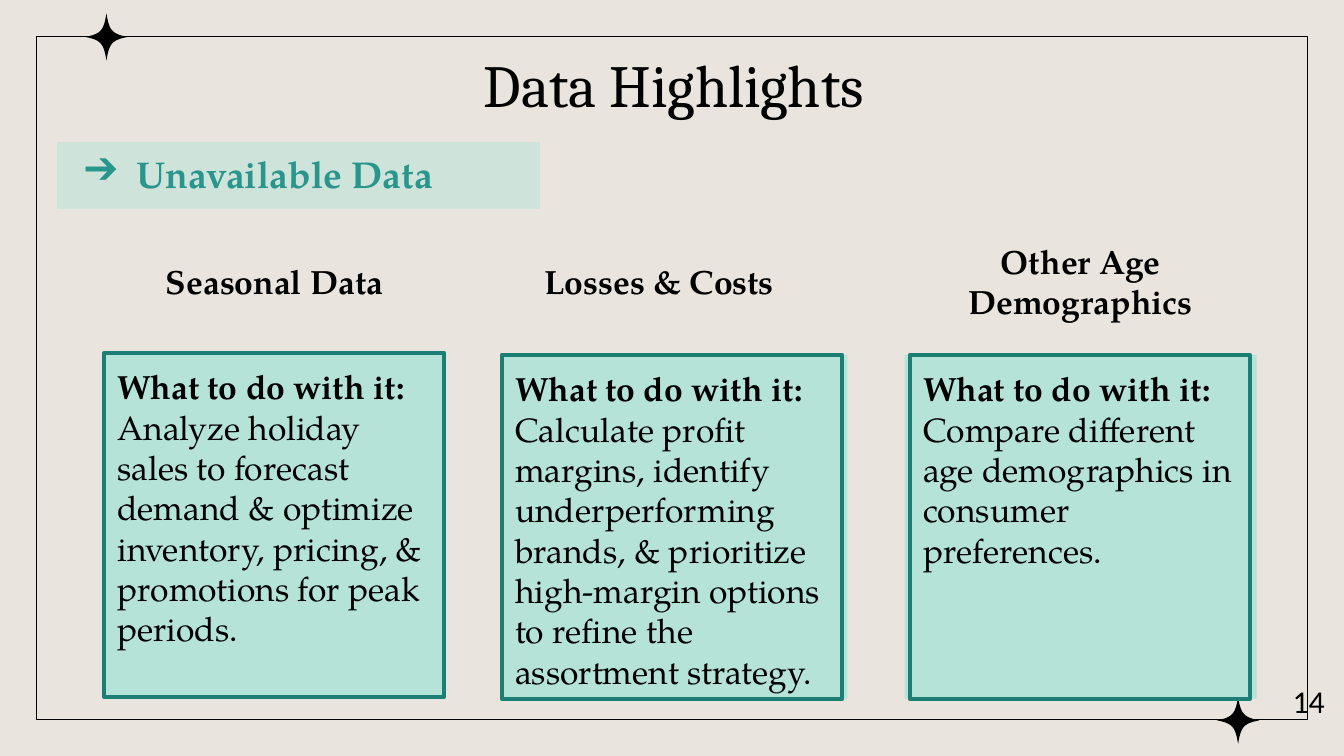
from dataclasses import dataclass

from lxml.etree import SubElement
from pptx import Presentation
from pptx.dml.color import RGBColor
from pptx.enum.shapes import MSO_SHAPE as Shape
from pptx.enum.text import MSO_ANCHOR as Anchor, PP_ALIGN as Align
from pptx.oxml.ns import qn
from pptx.util import Pt

PX = 4572


@dataclass(frozen=True)
class Theme:
    """Colours, fonts and type sizes of the deck."""
    paper: str = "E9E5DE"
    ink: str = "000000"
    mint: str = "B5E3D8"
    edge: str = "1D7E75"
    accent: str = "29968E"
    title_font: str = "Cambria"
    body_font: str = "TeX Gyre Pagella"
    number_font: str = "Calibri"
    title_size: int = 32
    label_size: int = 20
    body_size: int = 18
    number_size: int = 17


THEME = Theme()


def emu(*lengths):
    """Turn px lengths into EMU."""
    return [round(length * PX) for length in lengths]


def rgb(code):
    """Return the colour for a hex code."""
    return RGBColor.from_string(code)


def add_panel(slide, box, fill=None, line=None, width=0.75):
    """Draw a flat rectangle with optional fill and outline."""
    panel = slide.shapes.add_shape(Shape.RECTANGLE, *emu(*box))
    panel.shadow.inherit = False
    if fill:
        panel.fill.solid()
        panel.fill.fore_color.rgb = rgb(fill)
    else:
        panel.fill.background()
    if line:
        panel.line.color.rgb = rgb(line)
        panel.line.width = Pt(width)
    else:
        panel.line.fill.background()
    return panel


def write(holder, *runs, size=THEME.body_size, font=THEME.body_font, color=THEME.ink,
          align=Align.LEFT, anchor=Anchor.TOP, bullet=None):
    """Write one paragraph of (text, bold) runs into a shape."""
    frame = holder.text_frame
    frame.word_wrap = True
    frame.vertical_anchor = anchor
    (frame.margin_left, frame.margin_top,
     frame.margin_right, frame.margin_bottom) = emu(20, 20, 20, 20)
    paragraph = frame.paragraphs[0]
    paragraph.alignment = align
    if bullet:
        props = paragraph._p.get_or_add_pPr()
        indent, hang = emu(100, -78)
        props.set("marL", str(indent))
        props.set("indent", str(hang))
        SubElement(SubElement(props, qn("a:buClr")), qn("a:srgbClr"), val=color)
        SubElement(props, qn("a:buFont"), typeface=font)
        SubElement(props, qn("a:buChar"), char=bullet)
    for text, bold in runs:
        run = paragraph.add_run()
        run.text = text
        run.font.size = Pt(size)
        run.font.name = font
        run.font.bold = bold
        run.font.color.rgb = rgb(color)


def add_text(slide, box, text, bold=False, **style):
    """Place a text box holding one run."""
    write(slide.shapes.add_textbox(*emu(*box)), (text, bold), **style)


def add_sparkle(slide, box):
    """Draw a four-pointed sparkle with curved sides inside the box."""
    left, top, width, height = box
    controls = ((1, 0), (0.25, 0.13), (0.13, 0.28), (0, 1))
    quarter = []
    for step in range(13):
        t = step / 12
        weights = ((1 - t) ** 3, 3 * t * (1 - t) ** 2, 3 * t * t * (1 - t), t ** 3)
        quarter.append([sum(w * c[axis] for w, c in zip(weights, controls))
                        for axis in (0, 1)])
    outline = []
    for sx, sy in ((1, 1), (-1, 1), (-1, -1), (1, -1)):
        side = quarter if sx == sy else quarter[::-1]
        outline += [emu(left + width / 2 * (1 + sx * x), top + height / 2 * (1 + sy * y))
                    for x, y in side]
    builder = slide.shapes.build_freeform(*outline[0])
    builder.add_line_segments(outline[1:], close=True)
    sparkle = builder.convert_to_shape()
    sparkle.shadow.inherit = False
    sparkle.fill.solid()
    sparkle.fill.fore_color.rgb = rgb(THEME.ink)
    sparkle.line.fill.background()


def add_border(slide, box):
    """Draw the thin page border with a sparkle near two corners."""
    left, top, width, height = box
    add_panel(slide, box, line=THEME.ink)
    add_sparkle(slide, (left + 73, top - 34, 63, 70))
    add_sparkle(slide, (left + width - 135, top + height - 34, 63, 70))


def add_section_label(slide, box, text):
    """Draw the translucent section label with its arrow bullet."""
    label = add_panel(slide, box, THEME.mint, THEME.paper)
    tint = label._element.spPr.find(qn("a:solidFill"))[0]
    SubElement(tint, qn("a:alpha"), val="51000")
    write(label, (text, True), size=THEME.label_size, color=THEME.accent,
          anchor=Anchor.BOTTOM, bullet="➔")


def add_topic(slide, box, heading, advice, heading_shift, bleed):
    """Draw a heading above an outlined card; bleed widens the tint left and right."""
    left, top, width, height = box
    before, after = bleed
    add_panel(slide, (left - before, top, width + before + after, height), THEME.mint)
    card = add_panel(slide, box, line=THEME.edge, width=2.25)
    write(card, ("What to do with it:", True), (f" {advice}", False))
    add_text(slide, (left + heading_shift, 356, 482, 124), heading, bold=True,
             align=Align.CENTER, anchor=Anchor.MIDDLE)


def main():
    """Build the slide and save it."""
    deck = Presentation()
    deck.slide_width, deck.slide_height = emu(2000, 1125)
    slide = deck.slides.add_slide(deck.slide_layouts[6])
    slide.background.fill.solid()
    slide.background.fill.fore_color.rgb = rgb(THEME.paper)

    add_border(slide, (54, 54, 1892, 1017))
    add_text(slide, (59, 51, 1888, 86), "Data Highlights", size=THEME.title_size,
             font=THEME.title_font, align=Align.CENTER)
    add_section_label(slide, (84, 210, 721, 102), "Unavailable Data")

    topics = (
        (155, 525, "Seasonal Data",
         "Analyze holiday sales to forecast demand & optimize inventory, pricing, "
         "& promotions for peak periods.", 13, (0, 0)),
        (747, 528, "Losses & Costs",
         "Calculate profit margins, identify underperforming brands, & prioritize "
         "high-margin options to refine the assortment strategy.", -7, (1, 8)),
        (1354, 528, "Other Age Demographics",
         "Compare different age demographics in consumer preferences.", 13, (8, 10)),
    )
    for left, top, *content in topics:
        add_topic(slide, (left, top, 506, 512), *content)

    add_text(slide, (1869, 994, 122, 132), "14", size=THEME.number_size,
             font=THEME.number_font, align=Align.RIGHT)
    deck.save("out.pptx")


if __name__ == "__main__":
    main()
